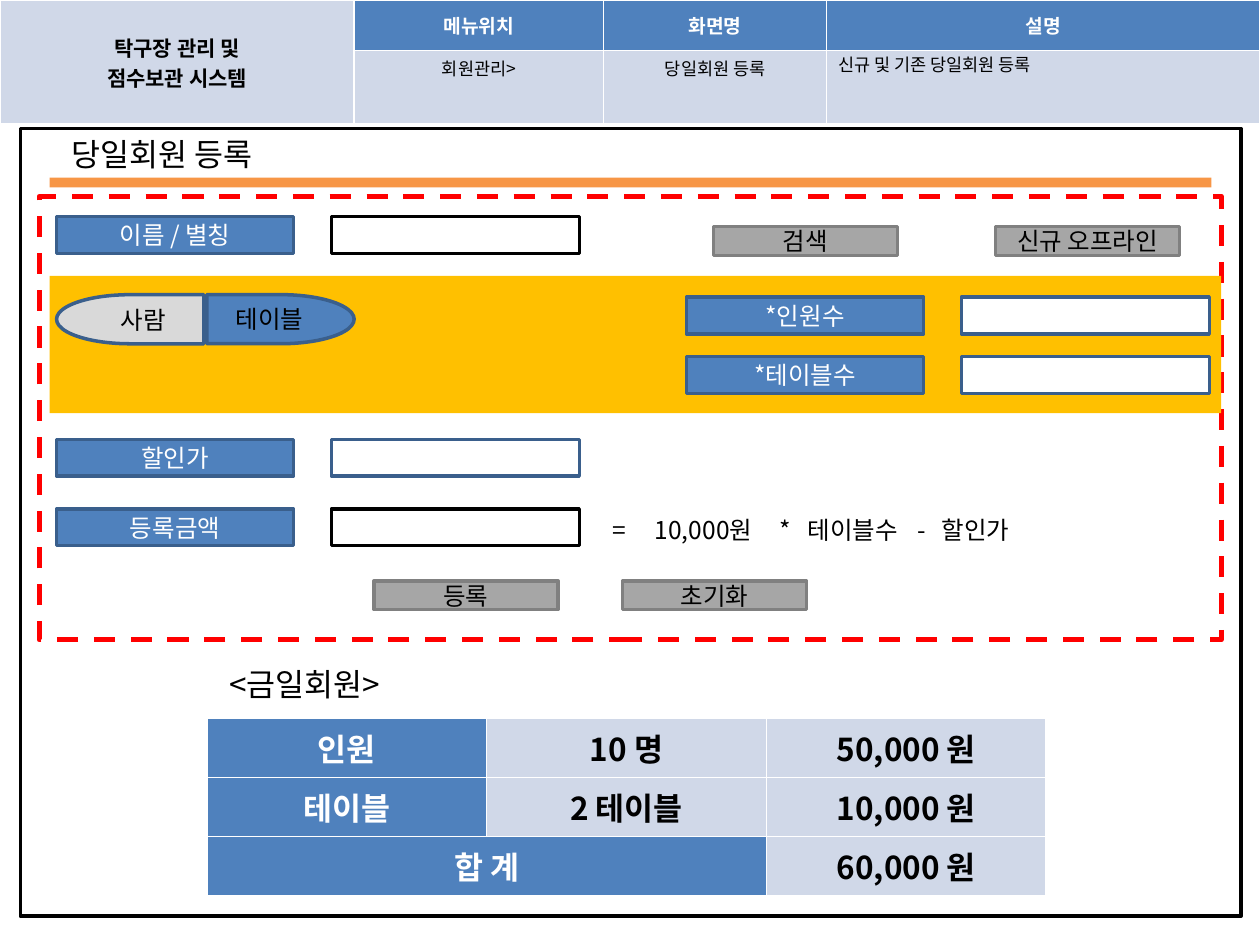
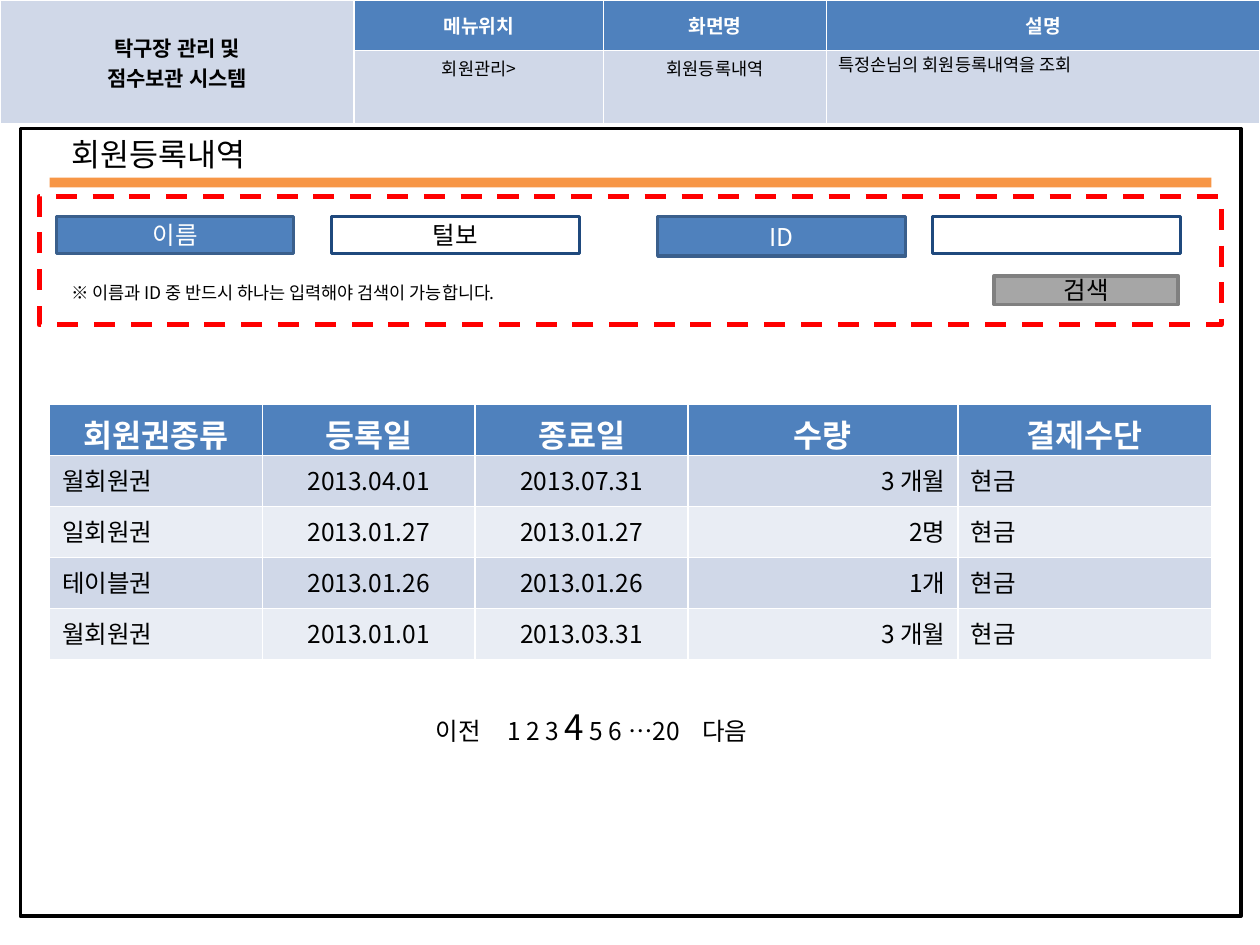
from dataclasses import dataclass

from lxml.etree import SubElement
from pptx import Presentation
from pptx.dml.color import RGBColor
from pptx.enum.dml import MSO_LINE as Dash
from pptx.enum.shapes import MSO_SHAPE as Shape
from pptx.enum.text import MSO_ANCHOR as Anchor, PP_ALIGN as Align
from pptx.oxml.ns import qn
from pptx.util import Cm, Pt


@dataclass(frozen=True)
class Theme:
    font: str = "Noto Sans CJK KR"
    black: str = "000000"
    white: str = "FFFFFF"
    blue: str = "4F81BD"
    edge: str = "3A5F8C"
    navy: str = "1F497D"
    pale: str = "D0D8E8"
    mist: str = "E9EDF4"
    orange: str = "F79646"
    gold: str = "FFC000"
    red: str = "FF0000"
    gray: str = "A6A6A6"
    dark: str = "808080"
    light: str = "D9D9D9"
    note: int = 10
    head: int = 11
    brand: int = 12
    body: int = 14
    title: int = 18
    page: int = 20


T = Theme()
LEFT, MID, RIGHT = Align.LEFT, Align.CENTER, Align.RIGHT

# Content: places are (left, top) in cm
BRAND = "탁구장 관리 및\n점수보관 시스템"
HEADS = ["메뉴위치", "화면명", "설명"]
MENU = "회원관리>"

DAY = dict(title="당일회원 등록", about="신규 및 기존 당일회원 등록",
           row=1.24, zone=8.94)
DAY_ROWS = [  # label, left, top, field fill, field line
    ("이름 / 별칭", 1.14, 4.37, T.white, T.black),
    ("*인원수", 13.84, 5.99, T.white, T.edge),
    ("*테이블수", 13.84, 7.19, T.white, T.edge),
    ("할인가", 1.14, 8.86, None, T.edge),
    ("등록금액", 1.14, 10.26, None, T.black),
]
DAY_KEYS = [("검색", 14.38, 4.57), ("신규 오프라인", 20.07, 4.57),
            ("등록", 7.54, 11.71), ("초기화", 12.55, 11.71)]
SUM = "=\t10,000원\t*\t테이블수\t-\t할인가"
SUM_TABS = [0.85, 3.37, 3.93, 6.15, 6.63]
TODAY = [["인원", "10 명", "50,000 원"],
         ["테이블", "2 테이블", "10,000 원"],
         ["합 계", "", "60,000 원"]]

LOG = dict(title="회원등록내역", about="특정손님의 회원등록내역을 조회",
           row=1.45, zone=2.59)
HINT = "※ 이름과 ID 중 반드시 하나는 입력해야 검색이 가능합니다."
LOG_COLS = [("회원권종류", 4.29, LEFT), ("등록일", 4.29, MID),
            ("종료일", 4.29, MID), ("수량", 5.44, RIGHT),
            ("결제수단", 5.11, LEFT)]
LOG_ROWS = [
    ["월회원권", "2013.04.01", "2013.07.31", "3 개월", "현금"],
    ["일회원권", "2013.01.27", "2013.01.27", "2명", "현금"],
    ["테이블권", "2013.01.26", "2013.01.26", "1개", "현금"],
    ["월회원권", "2013.01.01", "2013.03.31", "3 개월", "현금"],
]
PAGES = [("이전\t1 2 3 ", T.body), ("4", T.page), (" 5 6 …20\t다음", T.body)]
PAGE_TABS = [1.45, 5.38]

# Shared measures in cm
WIDE, HIGH = 25.4, 19.05
HEAD_COLS = [7.14, 5.03, 4.49, 8.74]
HEAD_ROW = 1.02
LABEL, FIELD, ROW, STEP = 4.78, 5.0, 0.74, 5.54
KEY = (3.71, 0.58)
DELAY = (2.97, 0.99)


def write(frame, text, size=T.body, color=T.black, bold=False, align=LEFT,
          anchor=Anchor.TOP, tabs=()):
    """Fill a text frame; text is a string or a list of (string, size) runs."""
    frame.word_wrap = True
    frame.vertical_anchor = anchor
    lines = ([[(line, size)] for line in text.split("\n")]
             if isinstance(text, str) else [text])
    for i, line in enumerate(lines):
        para = frame.add_paragraph() if i else frame.paragraphs[0]
        para.alignment = align
        for part, pts in line:
            run = para.add_run()
            run.text = part
            font = run.font
            font.name, font.size, font.bold = T.font, Pt(pts), bold
            font.color.rgb = RGBColor.from_string(color)
            SubElement(font._element, qn("a:ea"), typeface=T.font)
        if tabs:
            stops = SubElement(para._p.get_or_add_pPr(), qn("a:tabLst"))
            for tab in tabs:
                SubElement(stops, qn("a:tab"), pos=str(Cm(tab)), algn="l")


def note(slide, box, text, **style):
    area = slide.shapes.add_textbox(*map(Cm, box))
    write(area.text_frame, text, **style)


def draw(slide, box, fill=None, line=None, text="", kind=Shape.RECTANGLE,
         weight=2, dash=None, color=T.black):
    shape = slide.shapes.add_shape(kind, *map(Cm, box))
    shape.shadow.inherit = False
    if fill:
        shape.fill.solid()
        shape.fill.fore_color.rgb = RGBColor.from_string(fill)
    else:
        shape.fill.background()
    if line:
        shape.line.color.rgb = RGBColor.from_string(line)
        shape.line.width = Pt(weight)
        if dash:
            shape.line.dash_style = dash
    else:
        shape.line.fill.background()
    if text:
        write(shape.text_frame, text, color=color, align=MID,
              anchor=Anchor.MIDDLE)
    return shape


def label(slide, left, top, text, wide=LABEL, high=ROW):
    draw(slide, (left, top, wide, high), T.blue, T.edge, text, color=T.white)


def field(slide, left, top, fill, line, text=""):
    draw(slide, (left, top, FIELD, ROW), fill, line, text)


def button(slide, text, left, top):
    draw(slide, (left, top, *KEY), T.gray, T.dark, text)


def grid(slide, left, top, cols, rows):
    shape = slide.shapes.add_table(len(rows), len(cols), Cm(left), Cm(top),
                                   Cm(sum(cols)), Cm(sum(rows)))
    table = shape.table
    for parts, sizes, name in ((table.columns, cols, "width"),
                               (table.rows, rows, "height")):
        for part, size in zip(parts, sizes):
            setattr(part, name, Cm(size))
    return table


def put(cell, fill, text="", anchor=Anchor.TOP, **style):
    cell.fill.solid()
    cell.fill.fore_color.rgb = RGBColor.from_string(fill)
    cell.vertical_anchor = anchor
    if text:
        write(cell.text_frame, text, anchor=anchor, **style)
    else:
        cell.text_frame.paragraphs[0].font.size = Pt(T.note)


def start(deck, title, about, row, zone):
    """Add a slide with its header table, frame, bar and title."""
    slide = deck.slides.add_slide(deck.slide_layouts[5])
    table = grid(slide, 0, 0, HEAD_COLS, [HEAD_ROW, row])
    table.cell(0, 0).merge(table.cell(1, 0))
    put(table.cell(0, 0), T.pale, BRAND, Anchor.MIDDLE, size=T.brand,
        bold=True, align=MID)
    for c, head in enumerate(HEADS, 1):
        put(table.cell(0, c), T.blue, head, Anchor.MIDDLE, size=T.head,
            color=T.white, bold=True, align=MID)
        put(table.cell(1, c), T.pale)
    draw(slide, (0.41, 2.59, 24.61, 15.88), line=T.black)
    draw(slide, (1, 3.58, 23.42, 0.2), T.orange)

    left = HEAD_COLS[0]
    notes = [(MENU, 1.04, MID), (title, 1.04, MID), (about, 0.97, LEFT)]
    for wide, (text, top, align) in zip(HEAD_COLS[1:], notes):
        note(slide, (left, top, wide, 0.69), text, size=T.note, align=align)
        left += wide

    head = slide.shapes.title
    head.left, head.top, head.width, head.height = map(
        Cm, (1.19, 2.59, 8.74, 1.02))
    write(head.text_frame, title, size=T.title)
    draw(slide, (0.79, 3.96, 23.83, zone), line=T.red, weight=3,
         dash=Dash.DASH)
    return slide


def day(deck):
    slide = start(deck, **DAY)
    draw(slide, (1, 5.56, 23.62, 2.77), T.gold)
    for text, left, top, fill, line in DAY_ROWS:
        label(slide, left, top, text)
        field(slide, left + STEP, top, fill, line)
    for key in DAY_KEYS:
        button(slide, *key)
    draw(slide, (4.17, 5.94, *DELAY), T.blue, T.edge, "테이블",
         Shape.FLOWCHART_DELAY)
    person = draw(slide, (1.14, 5.94, *DELAY), T.light, T.edge,
                  kind=Shape.FLOWCHART_DELAY)
    person.rotation = 180
    note(slide, (2.18, 6.02, 2.39, 0.86), "사람")
    note(slide, (12.1, 10.26, 10.7, 0.86), SUM, tabs=SUM_TABS)
    note(slide, (4.37, 13.28, 12.12, 1.02), "<금일회원>", size=T.title)

    table = grid(slide, 4.17, 14.48, [5.64] * 3, [1.19] * 3)
    table.cell(2, 0).merge(table.cell(2, 1))
    for r, row in enumerate(TODAY):
        for c, text in enumerate(row):
            first = c == 0
            put(table.cell(r, c), T.blue if first else T.pale, text,
                size=T.title, color=T.white if first else T.black,
                bold=True, align=MID)


def log(deck):
    slide = start(deck, **LOG)
    label(slide, 1.14, 4.37, "이름")
    field(slide, 1.14 + STEP, 4.37, T.white, T.navy, "털보")
    label(slide, 13.26, 4.37, "ID", FIELD, 0.79)
    field(slide, 13.26 + STEP, 4.37, T.white, T.navy)
    button(slide, "검색", 20.04, 5.56)
    note(slide, (1.19, 5.56, 13.28, 0.69), HINT, size=T.note)

    table = grid(slide, 1, 8.15, [wide for _, wide, _ in LOG_COLS],
                 [1.03] * (len(LOG_ROWS) + 1))
    for c, (head, _, align) in enumerate(LOG_COLS):
        put(table.cell(0, c), T.blue, head, size=T.title, color=T.white,
            bold=True, align=MID)
        for r, row in enumerate(LOG_ROWS, 1):
            put(table.cell(r, c), T.pale if r % 2 else T.mist, row[c],
                align=align)
    note(slide, (8.53, 14.1, 10.52, 1.12), PAGES, tabs=PAGE_TABS)


def main():
    deck = Presentation()
    deck.slide_width, deck.slide_height = Cm(WIDE), Cm(HIGH)
    day(deck)
    log(deck)
    deck.save("out.pptx")


if __name__ == "__main__":
    main()
